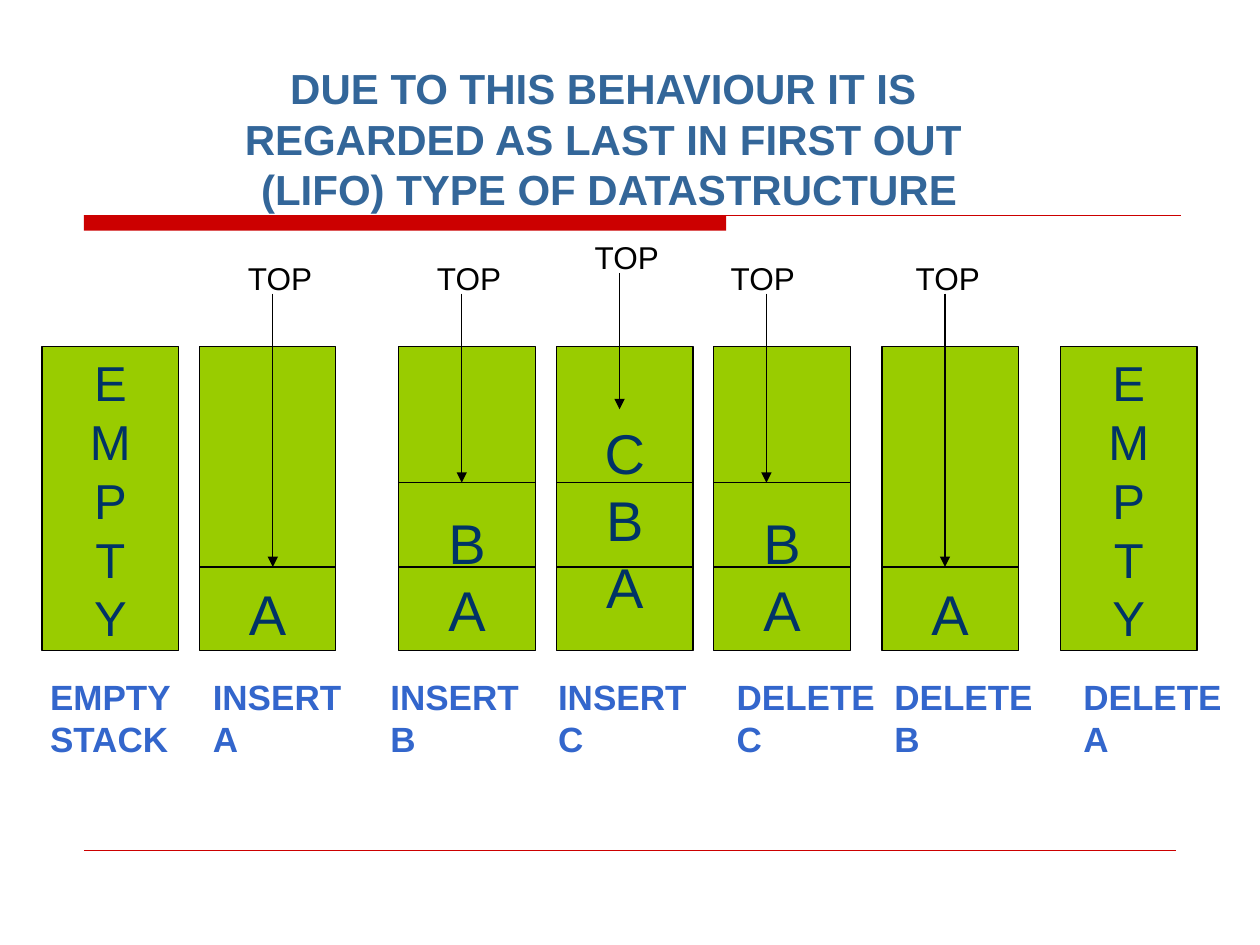
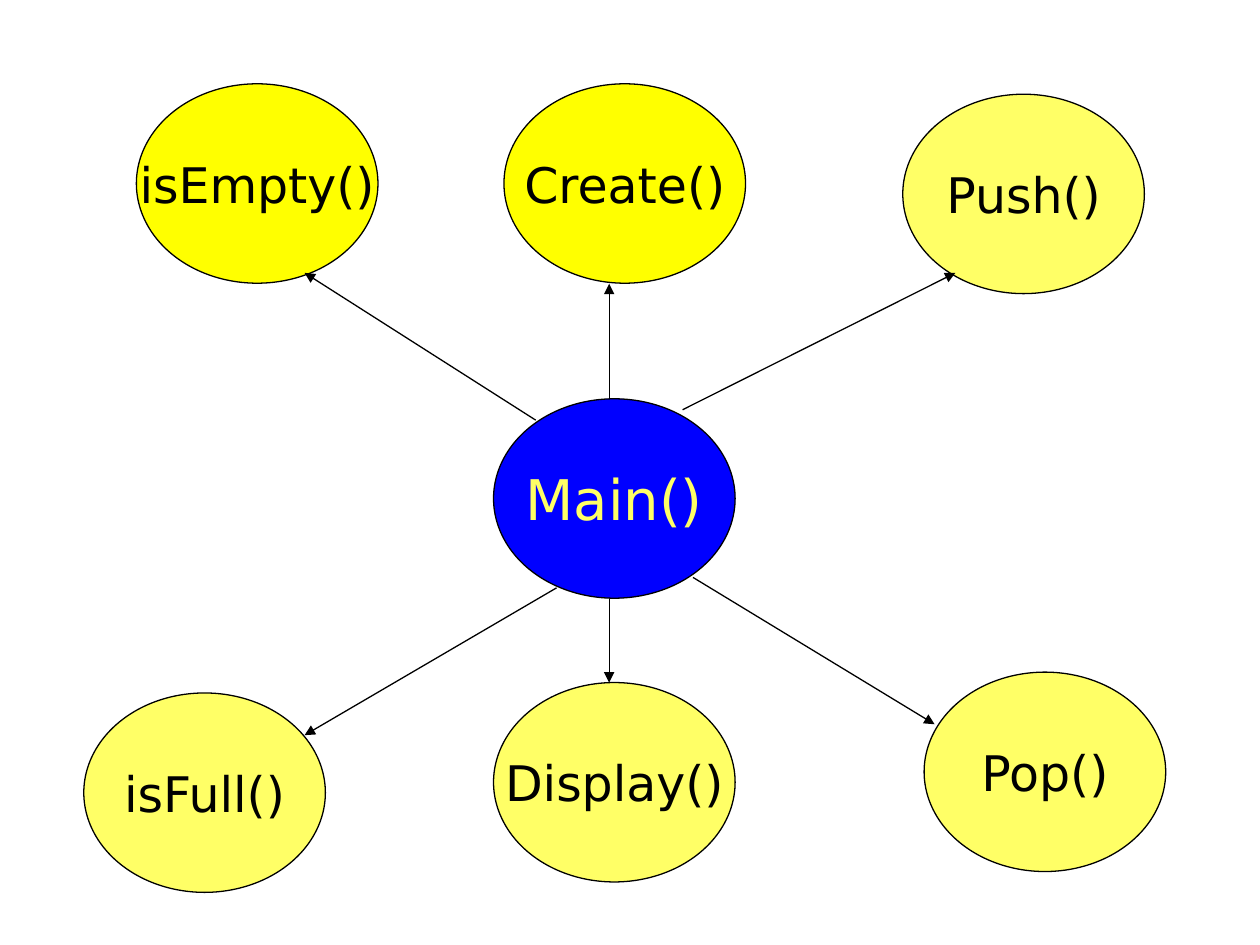
from dataclasses import dataclass

from lxml import etree
from pptx import Presentation
from pptx.dml.color import RGBColor
from pptx.enum.shapes import MSO_CONNECTOR, MSO_SHAPE
from pptx.enum.text import MSO_ANCHOR, MSO_AUTO_SIZE, PP_ALIGN
from pptx.oxml.ns import qn
from pptx.util import Cm, Pt

STRAIGHT = MSO_CONNECTOR.STRAIGHT
RECTANGLE, OVAL = MSO_SHAPE.RECTANGLE, MSO_SHAPE.OVAL
TOP, MIDDLE, BOTTOM = MSO_ANCHOR.TOP, MSO_ANCHOR.MIDDLE, MSO_ANCHOR.BOTTOM
LEFT, CENTER = PP_ALIGN.LEFT, PP_ALIGN.CENTER
FIXED_SIZE = MSO_AUTO_SIZE.NONE

BLACK = RGBColor(0x00, 0x00, 0x00)
RED = RGBColor(0xCC, 0x00, 0x00)
GREEN = RGBColor(0x99, 0xCC, 0x00)
NAVY = RGBColor(0x00, 0x33, 0x66)
TITLE_BLUE = RGBColor(0x33, 0x66, 0x99)
LABEL_BLUE = RGBColor(0x33, 0x66, 0xCC)
BLUE = RGBColor(0x00, 0x00, 0xFF)
YELLOW = RGBColor(0xFF, 0xFF, 0x00)
PALE_YELLOW = RGBColor(0xFF, 0xFF, 0x66)

ARIAL, DEJAVU = "Arial", "DejaVu Sans"
LINE_HEIGHT = 1.2
TITLE_LAYOUT, BLANK_LAYOUT = 5, 6

STACK_TOP, STACK_WIDTH, STACK_HEIGHT = 6.98, 2.75, 6.14
DIVIDER_HEIGHTS = (4.45, 2.75)
OVAL_WIDTH, OVAL_HEIGHT = 4.87, 4.02


@dataclass
class Pointer:
    across: float
    start: float
    end: float
    label_shift: float = -0.75


@dataclass
class Stack:
    left: float
    items: str
    label: tuple
    label_shift: float
    bottom_inset: float = 0.08
    dividers: int = 0
    pointer: Pointer = None
    size: int = 32


STACKS = (
    Stack(0.85, "EMPTY", ("EMPTY", "STACK"), -0.09, size=28),
    Stack(4.02, "A", ("INSERT", "A"), 0.02, 0.08, 1, Pointer(1.48, -1.06, 4.45)),
    Stack(8.04, "BA", ("INSERT", "B"), -0.42, 0.16, 2, Pointer(1.27, -1.06, 2.75)),
    Stack(11.22, "CBA", ("INSERT", "C"), -0.22, 0.62, 2, Pointer(1.27, -1.48, 1.27)),
    Stack(14.39, "BA", ("DELETE", "C"), 0.21, 0.16, 2, Pointer(1.06, -1.06, 2.75, -0.97)),
    Stack(17.78, "A", ("DELETE", "B"), 0, 0.08, 1, Pointer(1.27, -1.06, 4.45, -0.84)),
    Stack(21.38, "EMPTY", ("DELETE", "A"), 0.21, size=28),
)

FUNCTIONS = (
    ("Create()", 10.16, 1.69, YELLOW),
    ("isFull()", 1.69, 13.97, PALE_YELLOW),
    ("Pop()", 18.63, 13.55, PALE_YELLOW),
    ("Push()", 18.2, 1.9, PALE_YELLOW),
    ("isEmpty()", 2.75, 1.69, YELLOW),
    ("Display()", 9.95, 13.76, PALE_YELLOW),
)

CALLS = (
    (12.28, 8.04, 12.28, 5.72),
    (12.28, 12.07, 12.28, 13.76),
    (13.76, 8.26, 19.26, 5.5),
    (10.8, 8.47, 6.14, 5.5),
    (13.97, 11.64, 18.84, 14.6),
    (11.22, 11.85, 6.14, 14.82),
)


def write(frame, lines, size, color, font=ARIAL, align=LEFT, bold=False, spaced=True):
    for index, line in enumerate(lines):
        para = frame.add_paragraph() if index else frame.paragraphs[0]
        para.alignment = align
        para.space_before = para.space_after = Pt(0)
        if spaced:
            para.line_spacing = Pt(LINE_HEIGHT * size)
        span = para.add_run()
        span.text = line
        span.font.name = font
        span.font.size = Pt(size)
        span.font.bold = bold
        span.font.color.rgb = color


def add_label(page, box, lines, size, color, bold=False):
    frame = page.shapes.add_textbox(*map(Cm, box)).text_frame
    frame.word_wrap = True
    write(frame, lines, size, color, bold=bold)


def add_outlined(page, kind, box, fill):
    shape = page.shapes.add_shape(kind, *map(Cm, box))
    shape.shadow.inherit = False
    shape.fill.solid()
    shape.fill.fore_color.rgb = fill
    shape.line.color.rgb = BLACK
    shape.line.width = Pt(0.75)
    shape.text_frame.word_wrap = False
    return shape


def add_line(page, ends, color=BLACK, width=0.75, arrow=False):
    line = page.shapes.add_connector(STRAIGHT, *map(Cm, ends))
    line.line.color.rgb = color
    line.line.width = Pt(width)
    if arrow:
        outline = line.line._get_or_add_ln()
        etree.SubElement(outline, qn("a:tailEnd"), type="triangle")
    etree.SubElement(line._element.spPr, qn("a:effectLst"))


def add_rules(page):
    band = add_outlined(page, RECTANGLE, (1.69, 4.34, 12.95, 0.31), RED)
    band.line.fill.background()
    add_line(page, (1.69, 4.34, 23.8, 4.34), RED)
    add_line(page, (1.69, 17.15, 23.7, 17.15), RED, 0.25)


def add_title(page, box, lines):
    title = page.shapes.title
    title.left, title.top, title.width, title.height = map(Cm, box)
    frame = title.text_frame
    frame.auto_size = FIXED_SIZE
    frame.vertical_anchor = TOP
    frame.word_wrap = True
    write(frame, lines, 24, TITLE_BLUE, align=CENTER, bold=True)


def add_pointer(page, left, top, pointer):
    across, start = left + pointer.across, top + pointer.start
    add_line(page, (across, start, across, top + pointer.end), arrow=True)
    add_label(page, (across + pointer.label_shift, start - 0.83, 2, 1.02), ["TOP"], 18, BLACK)


def add_stack(page, stack, top):
    left = stack.left
    shape = add_outlined(page, RECTANGLE, (left, top, STACK_WIDTH, STACK_HEIGHT), GREEN)
    frame = shape.text_frame
    frame.vertical_anchor = BOTTOM
    frame.margin_top = 0
    frame.margin_bottom = Cm(stack.bottom_inset)
    write(frame, stack.items, stack.size, NAVY, align=CENTER)
    for height in DIVIDER_HEIGHTS[:stack.dividers]:
        add_line(page, (left, top + height, left + STACK_WIDTH, top + height))
    label_box = (left + stack.label_shift, top + 6.51, 3.4, 1.96)
    add_label(page, label_box, stack.label, 20, LABEL_BLUE, bold=True)
    if stack.pointer:
        add_pointer(page, left, top, stack.pointer)


def add_function(page, name, left, top, fill, size=28, color=BLACK):
    shape = add_outlined(page, OVAL, (left, top, OVAL_WIDTH, OVAL_HEIGHT), fill)
    shape.text_frame.vertical_anchor = MIDDLE
    write(shape.text_frame, [name], size, color, DEJAVU, CENTER, spaced=False)


def build_stack_slide(deck):
    page = deck.slides.add_slide(deck.slide_layouts[TITLE_LAYOUT])
    add_rules(page)
    add_title(page, (4.28, 1.14, 16, 3.3), (
        "DUE TO THIS BEHAVIOUR IT IS ",
        "REGARDED AS LAST IN FIRST OUT ",
        "(LIFO) TYPE OF DATASTRUCTURE",
    ))
    for stack in STACKS:
        add_stack(page, stack, STACK_TOP)


def build_function_slide(deck):
    page = deck.slides.add_slide(deck.slide_layouts[BLANK_LAYOUT])
    add_function(page, "Main()", 9.95, 8.04, BLUE, 32, PALE_YELLOW)
    for function in FUNCTIONS:
        add_function(page, *function)
    for ends in CALLS:
        add_line(page, ends, arrow=True)


def main():
    deck = Presentation()
    deck.slide_width, deck.slide_height = Cm(25.4), Cm(19.05)
    build_stack_slide(deck)
    build_function_slide(deck)
    deck.save("out.pptx")


if __name__ == "__main__":
    main()
